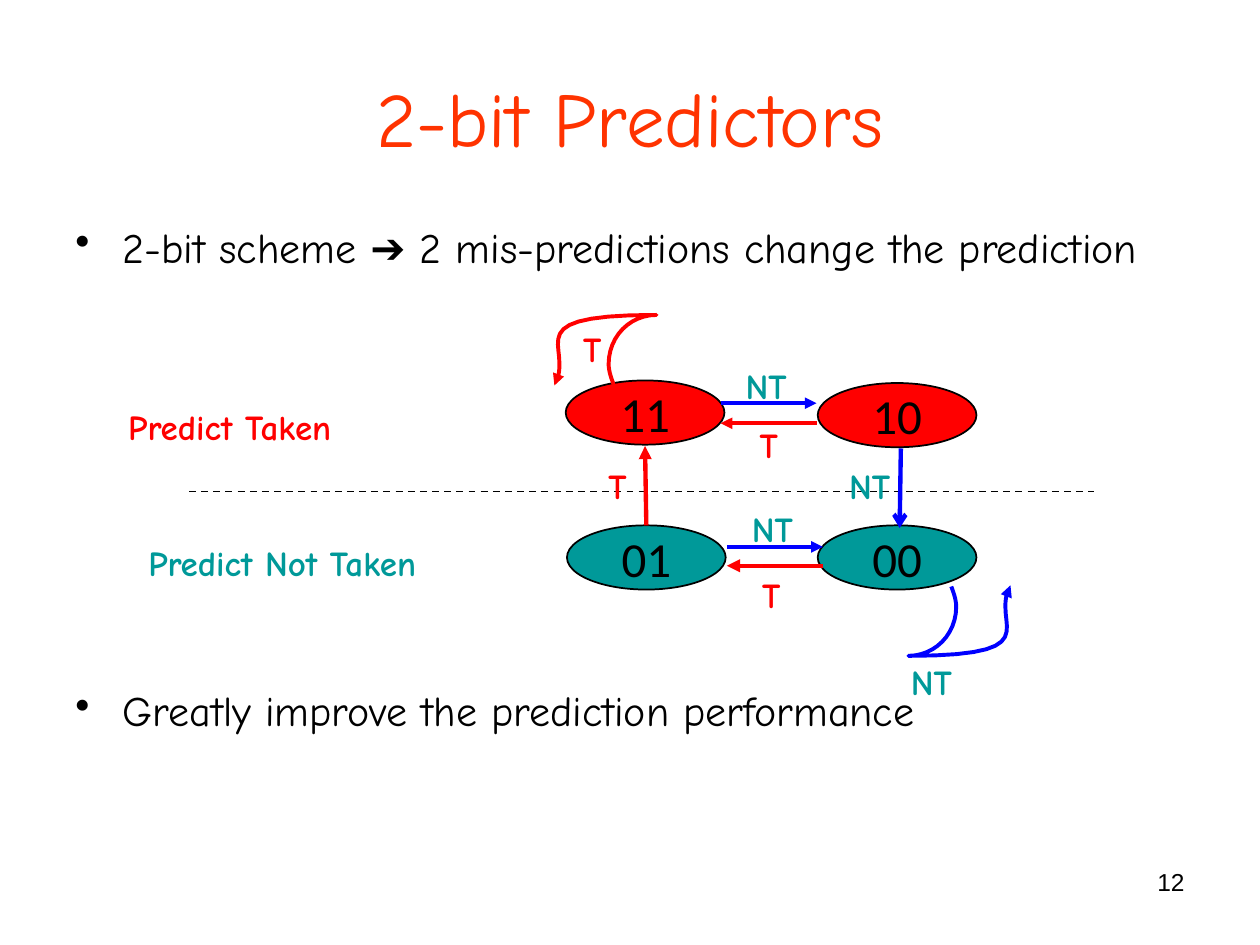
from dataclasses import dataclass

from lxml.etree import SubElement
from pptx import Presentation
from pptx.dml.color import RGBColor
from pptx.enum.dml import MSO_LINE
from pptx.enum.shapes import MSO_CONNECTOR, MSO_SHAPE
from pptx.enum.text import MSO_ANCHOR, PP_ALIGN
from pptx.oxml.ns import qn
from pptx.util import Pt


@dataclass(frozen=True)
class Theme:
    heading: str = "FF3300"
    ink: str = "000000"
    taken: str = "FF0000"
    not_taken: str = "009999"
    arrow: str = "0000FF"
    hand: str = "Comic Neue"
    sans: str = "Arial"
    state: str = "Calibri"
    title_pt: float = 44
    state_pt: float = 28
    body_pt: float = 24
    label_pt: float = 20
    number_pt: float = 14


@dataclass(frozen=True)
class State:
    name: str
    x: float
    y: float
    fill: str


@dataclass(frozen=True)
class Label:
    text: str
    x: float
    y: float
    w: float
    color: str
    wrap: bool = False
    align: PP_ALIGN = PP_ALIGN.LEFT


@dataclass(frozen=True)
class Arrow:
    start: tuple
    end: tuple
    color: str
    width: float = 2.25
    head: str = "triangle"
    source: str = ""


THEME = Theme()
RED, TEAL, BLUE = THEME.taken, THEME.not_taken, THEME.arrow
STATES = [
    State("11", 323.3, 217.4, RED),
    State("10", 467.3, 218.9, RED),
    State("01", 324, 300.2, TEAL),
    State("00", 467.3, 300.2, TEAL),
]
LABELS = [
    Label("Predict Taken", 66.2, 228.2, 159.1, RED, True),
    Label("Predict Not Taken", 54, 306, 214.6, TEAL, True, PP_ALIGN.CENTER),
    *(Label("T", x, y, 24.5, RED)
      for x, y in [(340.6, 262.1), (326.2, 183.6), (428.4, 324), (427, 238.3)]),
    *(Label("NT", x, y, 38.2, TEAL)
      for x, y in [(513.4, 373.7), (422.6, 286.6), (419, 204.5), (478.1, 262.1)]),
]
ARROWS = [
    Arrow((470.2, 323.3), (415.4, 323.3), RED, 2.5),
    Arrow((415.4, 312.5), (470.2, 312.5), BLUE),
    Arrow((466.6, 241.9), (411.8, 241.9), RED),
    Arrow((411.8, 230.4), (466.6, 230.4), BLUE),
    Arrow((369.4, 300.2), (368.6, 254.9), RED, 2.5, source="01"),
    Arrow((514.8, 256.3), (514.1, 301.7), BLUE, 2.5, "arrow"),
]
LOOP = [(350.6, 219.6), (349.2, 216), (347.8, 211.7), (347.8, 208.1),
        (347.8, 192.2), (360, 180), (375.1, 180),
        (307.4, 180), (319.7, 192.2), (319.7, 208.1),
        (319.7, 212.4), (319, 216.7), (316.8, 220.3)]
LOOP_TURN = (894.2, 554.8)


def rgb(color: str) -> RGBColor:
    return RGBColor.from_string(color)


def add_text(p, text: str, *, size: float, color: str = THEME.ink,
             font: str = THEME.hand, bold: bool = False, align=None) -> None:
    r = p.add_run()
    r.text = text
    r.font.size, r.font.name, r.font.bold = Pt(size), font, bold
    r.font.color.rgb = rgb(color)
    if align is not None:
        p.alignment = align


def add_box(slide, x: float, y: float, w: float, h: float, wrap: bool = True):
    tf = slide.shapes.add_textbox(Pt(x), Pt(y), Pt(w), Pt(h)).text_frame
    tf.word_wrap = wrap
    return tf


def style_line(sp, color: str, width: float, head: str = "") -> None:
    sp.line.color.rgb = rgb(color)
    sp.line.width = Pt(width)
    if head:
        SubElement(sp.line._get_or_add_ln(), qn("a:tailEnd"), type=head)


def add_bullet(p, gap: float = 0) -> None:
    pPr = p._p.get_or_add_pPr()
    pPr.set("marL", str(Pt(27)))
    pPr.set("indent", str(-Pt(27)))
    SubElement(pPr, qn("a:buChar"), char="•")
    p.line_spacing = 0.9
    if gap:
        p.space_before = Pt(gap)


def add_state(slide, state: State):
    sp = slide.shapes.add_shape(MSO_SHAPE.OVAL, Pt(state.x), Pt(state.y), Pt(90.7), Pt(36.7))
    sp.shadow.inherit = False
    sp.fill.solid()
    sp.fill.fore_color.rgb = rgb(state.fill)
    style_line(sp, THEME.ink, 1)
    tf = sp.text_frame
    tf.word_wrap = False
    tf.vertical_anchor = MSO_ANCHOR.MIDDLE
    add_text(tf.paragraphs[0], state.name, size=THEME.state_pt,
             font=THEME.state, align=PP_ALIGN.CENTER)
    return sp


def add_line(slide, start: tuple, end: tuple, color: str, width: float, head: str = ""):
    sp = slide.shapes.add_connector(MSO_CONNECTOR.STRAIGHT, *map(Pt, start + end))
    style_line(sp, color, width, head)
    SubElement(sp._element.spPr, qn("a:effectLst"))
    return sp


def curve_points(nodes: list, steps: int = 12) -> list:
    points = [nodes[0]]
    for i in range(0, len(nodes) - 1, 3):
        a, b, c, d = nodes[i:i + 4]
        for t in (n / steps for n in range(1, steps + 1)):
            u = 1 - t
            points.append(tuple(
                u**3 * a[k] + 3 * u * u * t * b[k] + 3 * u * t * t * c[k] + t**3 * d[k]
                for k in (0, 1)))
    return points


def add_loop(slide, nodes: list, color: str) -> None:
    first, *rest = [(Pt(x), Pt(y)) for x, y in curve_points(nodes)]
    builder = slide.shapes.build_freeform(*first)
    builder.add_line_segments(rest, close=False)
    sp = builder.convert_to_shape()
    sp.shadow.inherit = False
    sp.fill.background()
    style_line(sp, color, 2.25, "triangle")


def main() -> None:
    """Build the slide on 2-bit branch predictors."""
    prs = Presentation()
    prs.slide_width, prs.slide_height = Pt(720), Pt(540)
    slide = prs.slides.add_slide(prs.slide_layouts[6])

    tf = add_box(slide, 36, 21.6, 648, 90)
    tf.vertical_anchor = MSO_ANCHOR.MIDDLE
    add_text(tf.paragraphs[0], "2-bit Predictors", size=THEME.title_pt,
             color=THEME.heading, align=PP_ALIGN.CENTER)

    tf = add_box(slide, 36, 126, 648, 356.4)
    p = tf.paragraphs[0]
    add_bullet(p)
    add_text(p, "2-bit scheme ", size=THEME.body_pt)
    add_text(p, "➔", size=THEME.body_pt, font=THEME.sans)
    add_text(p, " 2 mis-predictions change the prediction", size=THEME.body_pt)
    p = tf.add_paragraph()
    add_bullet(p, gap=239)
    add_text(p, "Greatly improve the prediction performance", size=THEME.body_pt)

    tf = add_box(slide, 516.2, 491.8, 167.8, 37.4)
    add_text(tf.paragraphs[0], "12", size=THEME.number_pt, font=THEME.sans,
             align=PP_ALIGN.RIGHT)

    divider = add_line(slide, (108, 280.8), (625, 280.8), THEME.ink, 1)
    divider.line.dash_style = MSO_LINE.DASH
    ovals = {state.name: add_state(slide, state) for state in STATES}
    add_loop(slide, LOOP, RED)
    add_loop(slide, [(LOOP_TURN[0] - x, LOOP_TURN[1] - y) for x, y in LOOP], BLUE)
    for arrow in ARROWS:
        sp = add_line(slide, arrow.start, arrow.end, arrow.color, arrow.width, arrow.head)
        if arrow.source:
            sp.begin_connect(ovals[arrow.source], 0)
    for label in LABELS:
        tf = add_box(slide, label.x, label.y, label.w, 31, label.wrap)
        add_text(tf.paragraphs[0], label.text, size=THEME.label_pt, color=label.color,
                 bold=True, align=label.align)
    prs.save("out.pptx")


if __name__ == "__main__":
    main()
